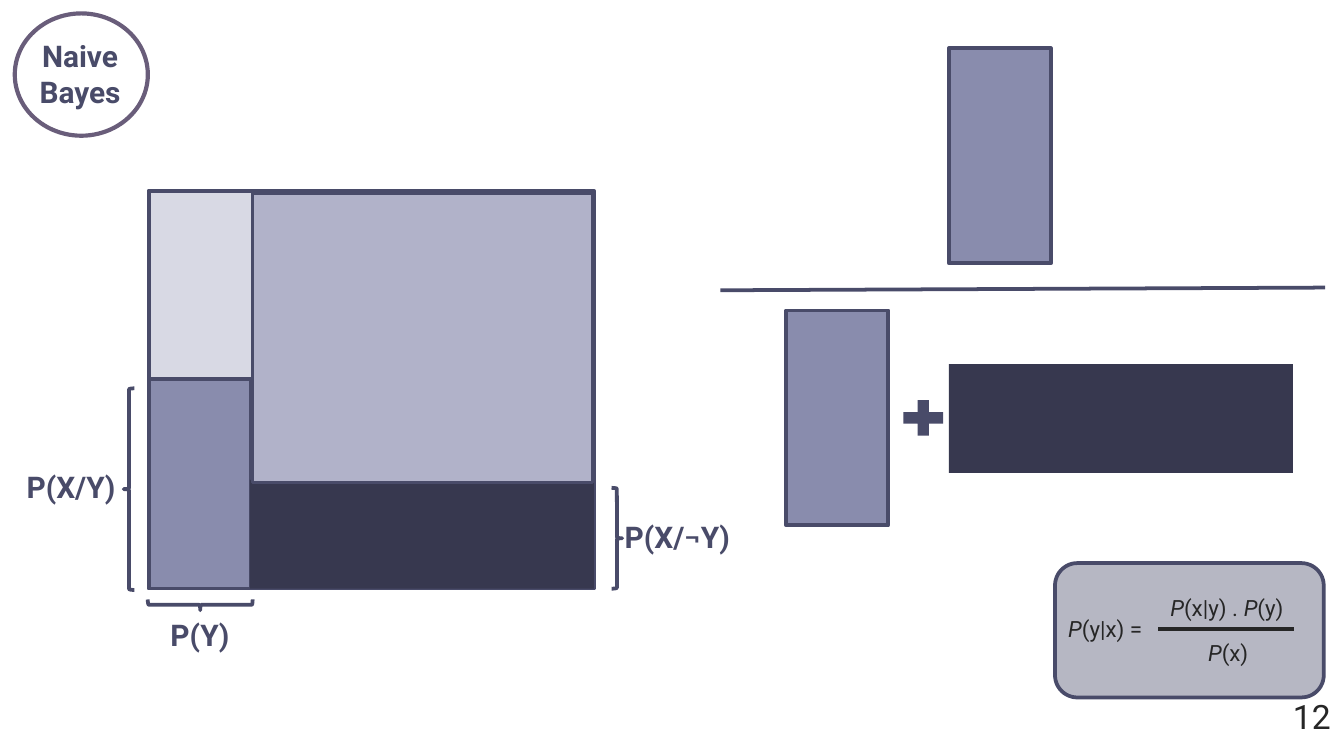
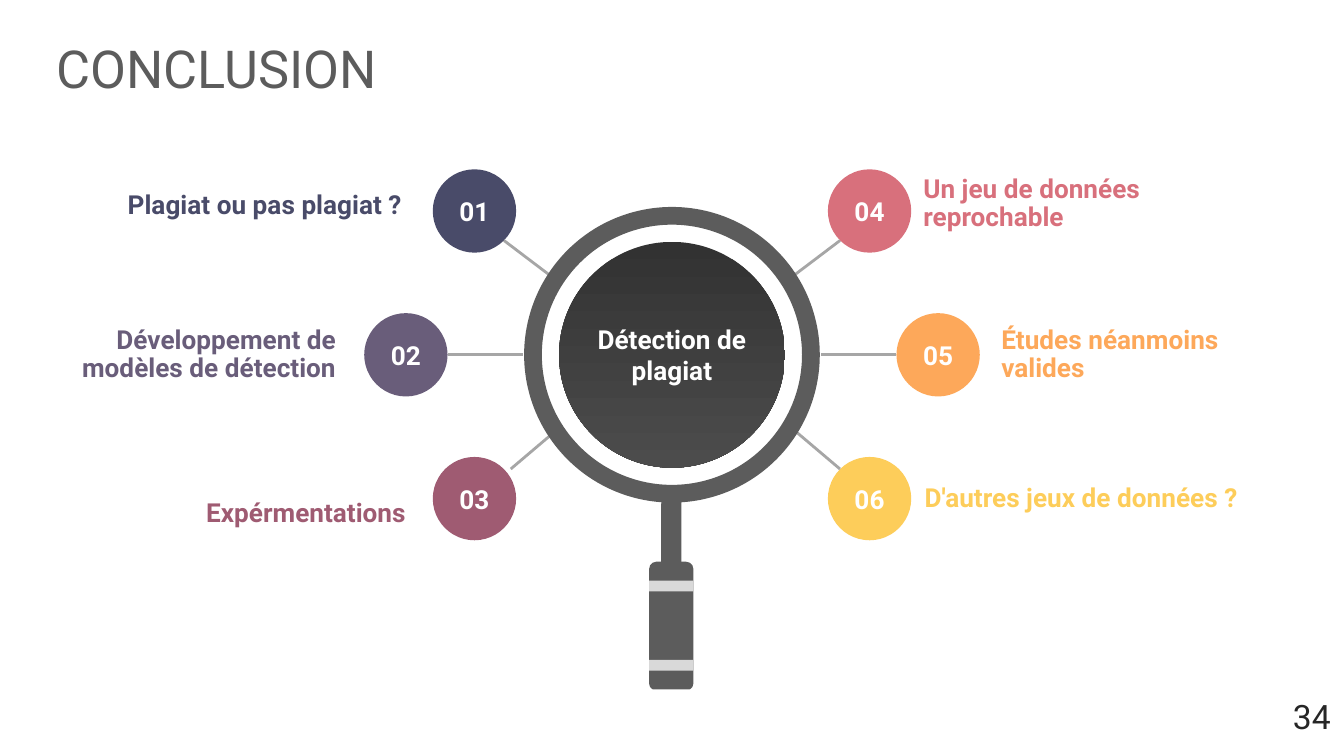
import pptx
import pptx.dml.color
import pptx.enum.shapes
import pptx.enum.text
import pptx.oxml.ns
import pptx.util
from lxml import etree

Inches = pptx.util.Inches
Pt = pptx.util.Pt
RGBColor = pptx.dml.color.RGBColor
SHAPE = pptx.enum.shapes.MSO_SHAPE
ANCHOR = pptx.enum.text.MSO_ANCHOR
ALIGN = pptx.enum.text.PP_ALIGN
qn = pptx.oxml.ns.qn

FONT = "Roboto"
WHITE = RGBColor(0xFF, 0xFF, 0xFF)
INK = RGBColor(0x26, 0x26, 0x26)
NAVY = RGBColor(0x49, 0x4B, 0x69)
DEEP_NAVY = RGBColor(0x37, 0x38, 0x4F)
PERIWINKLE = RGBColor(0x89, 0x8C, 0xAD)
LAVENDER = RGBColor(0xB1, 0xB2, 0xC9)
MIST = RGBColor(0xD8, 0xD9, 0xE4)
PURPLE = RGBColor(0x69, 0x5D, 0x7A)
PLUM = RGBColor(0x9F, 0x5B, 0x72)
ROSE = RGBColor(0xD8, 0x70, 0x7C)
ORANGE = RGBColor(0xFD, 0xA8, 0x5A)
YELLOW = RGBColor(0xFD, 0xCD, 0x5A)
GREY = RGBColor(0x5C, 0x5C, 0x5C)
SPOKE_GREY = RGBColor(0xA6, 0xA6, 0xA6)
BAND_GREY = RGBColor(0xD9, 0xD9, 0xD9)
LENS_TOP = RGBColor(0x32, 0x32, 0x32)
LENS_BOTTOM = RGBColor(0x4C, 0x4C, 0x4C)


def add_figure(slide, preset, box, fill=None, line=None, width=2):
    figure = slide.shapes.add_shape(preset, *map(Inches, box))
    figure.shadow.inherit = False
    if fill is None:
        figure.fill.background()
    else:
        figure.fill.solid()
        figure.fill.fore_color.rgb = fill
    if line is None:
        figure.line.fill.background()
    else:
        figure.line.color.rgb = line
        figure.line.width = Pt(width)
    return figure


def add_rule(slide, start, end, color, width):
    rule = slide.shapes.add_connector(
        pptx.enum.shapes.MSO_CONNECTOR.STRAIGHT, *map(Inches, start + end)
    )
    rule.line.color.rgb = color
    rule.line.width = Pt(width)
    etree.SubElement(rule._element.spPr, qn("a:effectLst"))


def clear_margins(frame):
    frame.margin_left = frame.margin_right = 0
    frame.margin_top = frame.margin_bottom = 0


def style(paragraph, size, color, bold=False, align=ALIGN.LEFT):
    paragraph.alignment = align
    paragraph.font.name = FONT
    paragraph.font.size = Pt(size)
    paragraph.font.bold = bold
    paragraph.font.color.rgb = color


def add_label(slide, box, text, size, color, align=ALIGN.LEFT):
    frame = slide.shapes.add_textbox(*map(Inches, box)).text_frame
    frame.word_wrap = True
    frame.text = text
    style(frame.paragraphs[0], size, color, True, align)
    return frame


def add_formula_part(slide, box, terms):
    frame = slide.shapes.add_textbox(*map(Inches, box)).text_frame
    frame.word_wrap = True
    paragraph = frame.paragraphs[0]
    style(paragraph, 12, INK)
    for term in terms:
        run = paragraph.add_run()
        run.text = term
        run.font.italic = term == "P"


def write_centered(figure, text, size=14):
    frame = figure.text_frame
    frame.word_wrap = True
    clear_margins(frame)
    frame.vertical_anchor = ANCHOR.MIDDLE
    frame.text = text
    style(frame.paragraphs[0], size, WHITE, True, ALIGN.CENTER)


def add_page_number(slide, number):
    band = add_figure(slide, SHAPE.RECTANGLE, (0, 5.13, 10, 0.5), WHITE)
    frame = band.text_frame
    frame.vertical_anchor = ANCHOR.TOP
    frame.text = str(number)
    style(frame.paragraphs[0], 18, INK, align=ALIGN.RIGHT)


def add_brace(slide, box, rotation=0):
    brace = add_figure(slide, SHAPE.LEFT_BRACE, box, WHITE, NAVY)
    brace.rotation = rotation


def add_bayes_formula(slide):
    panel = add_figure(slide, SHAPE.ROUNDED_RECTANGLE, (7.85, 4.19, 2, 1), NAVY, NAVY)
    fill_color = panel._element.spPr.find(qn("a:solidFill"))[0]
    etree.SubElement(fill_color, qn("a:alpha"), val="40000")
    add_formula_part(slide, (7.85, 4.53, 0.76, 0.3), ["P", "(y|x) ="])
    add_rule(slide, (8.62, 4.68), (9.63, 4.68), INK, 2.25)
    add_formula_part(slide, (8.89, 4.71, 0.71, 0.3), ["P", "(x)"])
    add_formula_part(slide, (8.61, 4.37, 1.51, 0.3), ["P", "(x|y) . ", "P", "(y)"])


def build_naive_bayes(deck):
    slide = deck.slides.add_slide(deck.slide_layouts[6])
    add_figure(slide, SHAPE.OVAL, (0.11, 0.1, 0.99, 0.91), line=PURPLE, width=2.25)
    add_label(slide, (0.17, 0.23, 0.85, 0.64), "Naive Bayes", 16, NAVY, ALIGN.CENTER)
    add_page_number(slide, 12)

    areas = [
        ((1.11, 1.42, 3.31, 2.96), WHITE, NAVY),
        ((1.11, 2.78, 0.76, 1.6), PERIWINKLE, NAVY),
        ((1.86, 3.57, 2.56, 0.81), DEEP_NAVY, None),
        ((1.88, 1.44, 2.53, 2.15), LAVENDER, NAVY),
        ((1.11, 1.42, 0.77, 1.4), MIST, NAVY),
        ((7.06, 0.36, 0.76, 1.6), PERIWINKLE, NAVY),
        ((5.85, 2.31, 0.76, 1.6), PERIWINKLE, NAVY),
        ((7.06, 2.71, 2.56, 0.81), DEEP_NAVY, None),
    ]
    for box, fill, line in areas:
        add_figure(slide, SHAPE.RECTANGLE, box, fill, line)
    add_rule(slide, (5.36, 2.16), (9.86, 2.14), NAVY, 2)
    add_figure(slide, SHAPE.MATH_PLUS, (6.67, 2.93, 0.4, 0.36), NAVY)

    add_brace(slide, (0.92, 2.89, 0.08, 1.5))
    add_brace(slide, (1.45, 4.11, 0.08, 0.78), 270)
    for text, box in [
        ("P(Y)", (1.17, 4.54, 0.7, 0.37)),
        ("P(X/Y)", (0.1, 3.44, 1, 0.37)),
        ("P(X/¬Y)", (4.55, 3.81, 1.3, 0.37)),
    ]:
        add_label(slide, box, text, 16, NAVY)
    add_brace(slide, (4.55, 3.63, 0.08, 0.75), 180)
    add_bayes_formula(slide)


def add_title(slide, text):
    title = slide.shapes.title
    title.left, title.top = Inches(0.42), Inches(0.31)
    title.width, title.height = Inches(9.15), Inches(0.45)
    frame = title.text_frame
    clear_margins(frame)
    frame.vertical_anchor = ANCHOR.MIDDLE
    frame.text = text
    frame.paragraphs[0].line_spacing = 0.9
    style(frame.paragraphs[0], 28, GREY)


def add_topic(slide, number, text, color, badge_at, label_box, spoke):
    badge = add_figure(slide, SHAPE.OVAL, badge_at + (0.62, 0.62), color)
    write_centered(badge, number)
    add_rule(slide, *spoke, SPOKE_GREY, 1.5)
    align = ALIGN.RIGHT if badge_at[0] < 5 else ALIGN.LEFT
    frame = add_label(slide, label_box, text, 14, color, align)
    clear_margins(frame)
    frame.paragraphs[0].line_spacing = 0.9


def add_lens(slide):
    lens = add_figure(slide, SHAPE.OVAL, (4.16, 1.8, 1.68, 1.68), LENS_TOP)
    lens.fill.gradient()
    lens.fill.gradient_angle = 270
    for stop, color, position in zip(
        lens.fill.gradient_stops, (LENS_TOP, LENS_BOTTOM), (0, 1)
    ):
        stop.color.rgb = color
        stop.position = position
    write_centered(lens, "Détection de plagiat")


def add_handle(slide):
    for box in [(4.83, 4.18, 0.33, 0.96), (4.92, 3.62, 0.15, 0.65)]:
        add_figure(slide, SHAPE.ROUNDED_RECTANGLE, box, GREY)
    for top in (4.32, 4.91):
        add_figure(slide, SHAPE.RECTANGLE, (4.83, top, 0.33, 0.08), BAND_GREY)


def build_conclusion(deck):
    slide = deck.slides.add_slide(deck.slide_layouts[5])
    add_lens(slide)
    add_title(slide, "CONCLUSION")
    add_handle(slide)
    topics = [
        ("01", "Plagiat ou pas plagiat ?", NAVY, (3.22, 1.26),
         (0.3, 1.43, 2.69, 0.21), ((3.75, 1.79), (4.08, 2.04))),
        ("02", "Développement de modèles de détection", PURPLE, (2.71, 2.33),
         (0.38, 2.43, 2.12, 0.58), ((3.33, 2.64), (3.89, 2.64))),
        ("03", "Expérmentations", PLUM, (3.22, 3.4),
         (0.33, 3.72, 2.69, 0.21), ((3.8, 3.49), (4.13, 3.21))),
        ("04", "Un jeu de données reprochable", ROSE, (6.16, 1.26),
         (6.87, 1.31, 2.69, 0.42), ((6.25, 1.79), (5.92, 2.04))),
        ("05", "Études néanmoins valides", ORANGE, (6.67, 2.33),
         (7.45, 2.43, 2.12, 0.42), ((6.67, 2.64), (6.11, 2.64))),
        ("06", "D'autres jeux de données ?", YELLOW, (6.16, 3.4),
         (6.88, 3.61, 2.69, 0.21), ((6.25, 3.49), (5.92, 3.21))),
    ]
    for topic in topics:
        add_topic(slide, *topic)
    add_page_number(slide, 34)
    rim = add_figure(slide, SHAPE.DONUT, (3.9, 1.54, 2.2, 2.2), GREY)
    rim.adjustments[0] = 0.06


def main():
    deck = pptx.Presentation()
    deck.slide_width = Inches(10)
    deck.slide_height = deck.slide_width * 9 // 16
    build_naive_bayes(deck)
    build_conclusion(deck)
    deck.save("out.pptx")


if __name__ == "__main__":
    main()
